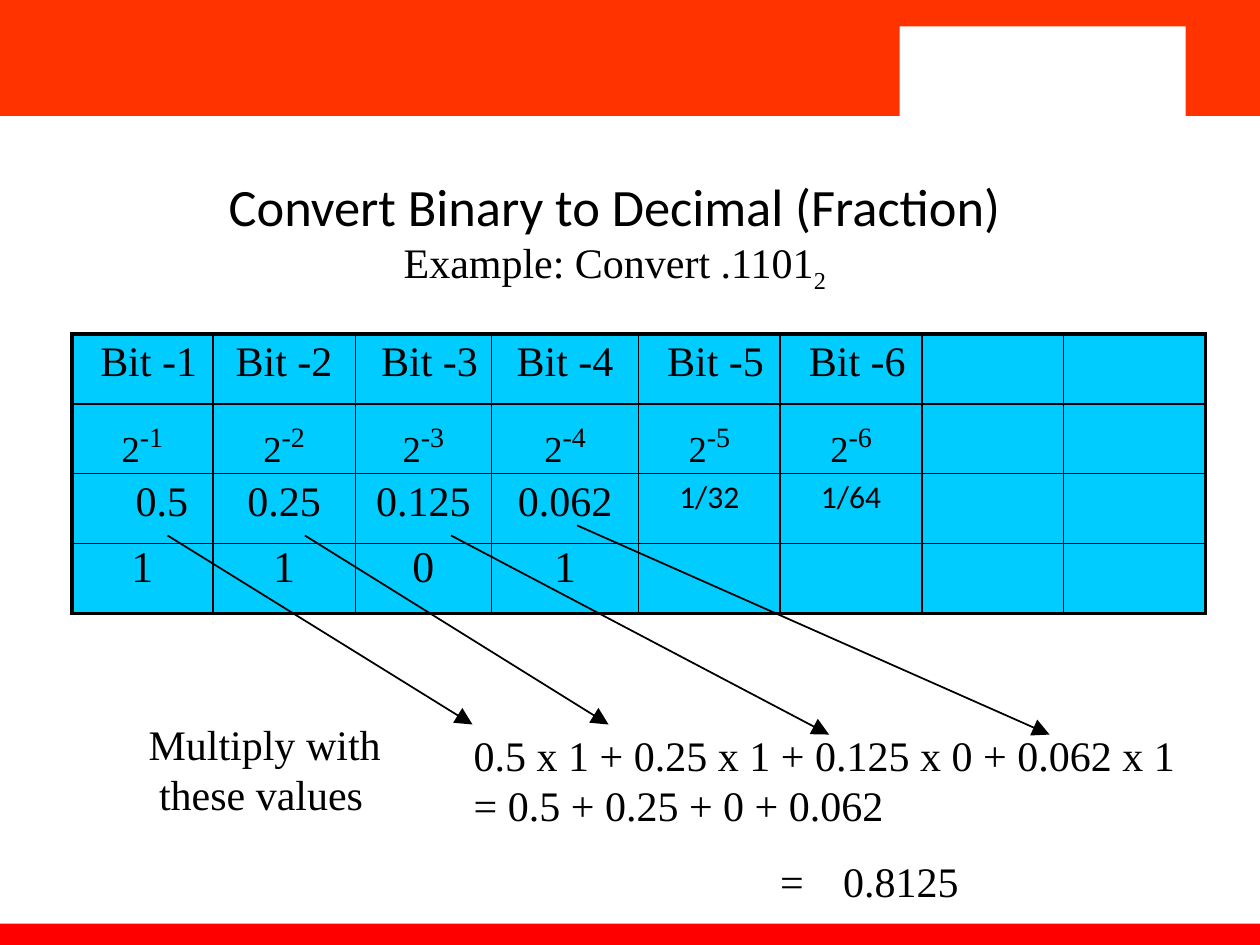
from dataclasses import dataclass

from lxml import etree
from pptx import Presentation
from pptx.dml.color import RGBColor
from pptx.enum import shapes, text
from pptx.oxml.ns import qn
from pptx.util import Inches, Pt


@dataclass(frozen=True)
class Theme:
    band: RGBColor = RGBColor(0xFF, 0x33, 0x00)
    footer: RGBColor = RGBColor(0xFF, 0x00, 0x00)
    white: RGBColor = RGBColor(0xFF, 0xFF, 0xFF)
    cell: RGBColor = RGBColor(0x00, 0xCC, 0xFF)
    ink: RGBColor = RGBColor(0x00, 0x00, 0x00)
    sans: str = "Calibri"
    serif: str = "Times New Roman"
    title: float = 30
    body: float = 24
    digit: float = 25
    base: float = 36
    exponent: float = 16
    fraction: float = 18
    thin: float = 1
    thick: float = 2.25


class SlideBuilder:
    def __init__(self, slide, theme):
        self.s = slide
        self.t = theme

    def bar(self, x, y, w, h, color):
        sp = self.s.shapes.add_shape(shapes.MSO_SHAPE.RECTANGLE, Inches(x), Inches(y), Inches(w), Inches(h))
        sp.shadow.inherit = False
        sp.fill.solid()
        sp.fill.fore_color.rgb = color
        sp.line.fill.background()

    def style(self, r, size, font=None, baseline=None):
        r.font.size = Pt(size)
        r.font.name = font or self.t.serif
        r.font.color.rgb = self.t.ink
        if baseline is not None:
            r.font._element.set("baseline", str(baseline * 1000))

    def layout(self, p, indent=0, centered=True):
        p.alignment = text.PP_ALIGN.CENTER if centered else text.PP_ALIGN.LEFT
        pPr = p._p.get_or_add_pPr()
        pPr.set("marL", str(Inches(indent)))
        pPr.set("indent", "0")

    def textbox(self, x, y, w, h, top=0, anchor=text.MSO_ANCHOR.TOP):
        tf = self.s.shapes.add_textbox(Inches(x), Inches(y), Inches(w), Inches(h)).text_frame
        tf.word_wrap = True
        tf.vertical_anchor = anchor
        tf.margin_left = tf.margin_right = tf.margin_bottom = 0
        tf.margin_top = Inches(top)
        return tf

    def paragraph(self, p, content, indent=0, centered=True):
        p.text = content
        self.layout(p, indent, centered)
        for r in p.runs:
            self.style(r, self.t.body)

    def arrow(self, x1, y1, x2, y2):
        cn = self.s.shapes.add_connector(shapes.MSO_CONNECTOR.STRAIGHT, Inches(x1), Inches(y1), Inches(x2), Inches(y2))
        cn.line.color.rgb = self.t.ink
        cn.line.width = Pt(self.t.thin)
        etree.SubElement(cn.line._get_or_add_ln(), qn("a:tailEnd"), type="triangle", w="lg", len="lg")
        etree.SubElement(cn._element.spPr, qn("a:effectLst"))

    def table(self, x, y, widths, height, rows):
        n_rows, n_cols = rows, len(widths)
        frame = self.s.shapes.add_table(n_rows, n_cols, Inches(x), Inches(y), Inches(sum(widths)), Inches(height))
        table = frame.table
        table.first_row = table.horz_banding = False
        for column, width in zip(table.columns, widths):
            column.width = Inches(width)
        for i, row in enumerate(table.rows):
            row.height = Inches(height / n_rows)
            for j, cell in enumerate(row.cells):
                outer = {"L": j == 0, "R": j == n_cols - 1, "T": i == 0, "B": i == n_rows - 1}
                self.borders(cell, outer)
                cell.fill.solid()
                cell.fill.fore_color.rgb = self.t.cell
                cell.margin_left = cell.margin_right = cell.margin_top = cell.margin_bottom = 0
        return table

    def borders(self, cell, outer):
        tcPr = cell._tc.get_or_add_tcPr()
        for side, is_outer in outer.items():
            width = Pt(self.t.thick if is_outer else self.t.thin)
            ln = etree.SubElement(tcPr, qn(f"a:ln{side}"), w=str(width))
            fill = etree.SubElement(ln, qn("a:solidFill"))
            etree.SubElement(fill, qn("a:srgbClr"), val=str(self.t.ink))

    def cell_text(self, cell, content, size, font=None, indent=0, top=0.0):
        cell.margin_top = Inches(top)
        p = cell.text_frame.paragraphs[0]
        p.text = content
        self.layout(p, indent)
        self.style(p.runs[0], size, font)

    def power_cell(self, cell, exponent):
        p = cell.text_frame.paragraphs[0]
        p.text = "2"
        p.line_spacing = 0.68
        self.layout(p)
        self.style(p.runs[0], self.t.base, baseline=-25)
        r = p.add_run()
        r.text = str(exponent)
        self.style(r, self.t.exponent, baseline=0)


def main():
    t = Theme()
    prs = Presentation()
    prs.slide_width, prs.slide_height = Inches(10), Inches(7.5)
    b = SlideBuilder(prs.slides.add_slide(prs.slide_layouts[6]), t)

    # Header and footer bands
    b.bar(0, 0, 10, 0.92, t.band)
    b.bar(0, 7.33, 10, 0.17, t.footer)
    b.bar(7.14, 0.21, 2.27, 0.75, t.white)

    # Title with example line
    p = b.textbox(0.48, 1.18, 7.67, 1.18, 0.17, text.MSO_ANCHOR.MIDDLE).paragraphs[0]
    b.paragraph(p, "Convert Binary to Decimal (Fraction)\vExample: Convert .1101", 1.13)
    b.style(p.runs[0], t.title, t.sans)
    subscript = p.add_run()
    subscript.text = "2"
    b.style(subscript, t.body, baseline=-25)

    # Place value table
    widths = [1.12, 1.13, 1.08, 1.17] + [1.12, 1.13] * 2
    table = b.table(0.57, 2.65, widths, 2.22, rows=4)
    values = ["0.5", "0.25", "0.125", "0.062", "1/32", "1/64"]
    for j, value in enumerate(values):
        indent = 0 if j in (1, 3) else 0.1
        b.cell_text(table.cell(0, j), f"Bit -{j + 1}", t.body, indent=indent, top=0.04)
        b.power_cell(table.cell(1, j), -(j + 1))
        size, font = (t.fraction, t.sans) if "/" in value else (t.body, t.serif)
        b.cell_text(table.cell(2, j), value, size, font, 0 if j else 0.31, 0.04)
    for j, bit in enumerate("1101"):
        b.cell_text(table.cell(3, j), bit, t.digit)

    # Explanation and calculation
    note = b.textbox(1.17, 5.69, 1.87, 0.83, 0.01)
    b.paragraph(note.paragraphs[0], "Multiply with\v these values", 0.01, False)
    sums = b.textbox(3.75, 5.58, 5.76, 1.62, 0.21)
    b.paragraph(sums.paragraphs[0],
                "0.5 x 1 + 0.25 x 1 + 0.125 x 0 + 0.062 x 1\v= 0.5 + 0.25 + 0 + 0.062", 0.01, False)
    result = sums.add_paragraph()
    b.paragraph(result, "=\t0.8125", 0.54)
    result.space_before = Pt(14.4)

    # Arrows from place values to the terms of the sum
    for ends in [(1.33, 4.25, 3.75, 5.75), (2.42, 4.25, 4.83, 5.75),
                 (3.58, 4.25, 6.58, 5.83), (4.58, 4.17, 8.33, 5.83)]:
        b.arrow(*ends)

    prs.save("out.pptx")


if __name__ == "__main__":
    main()
